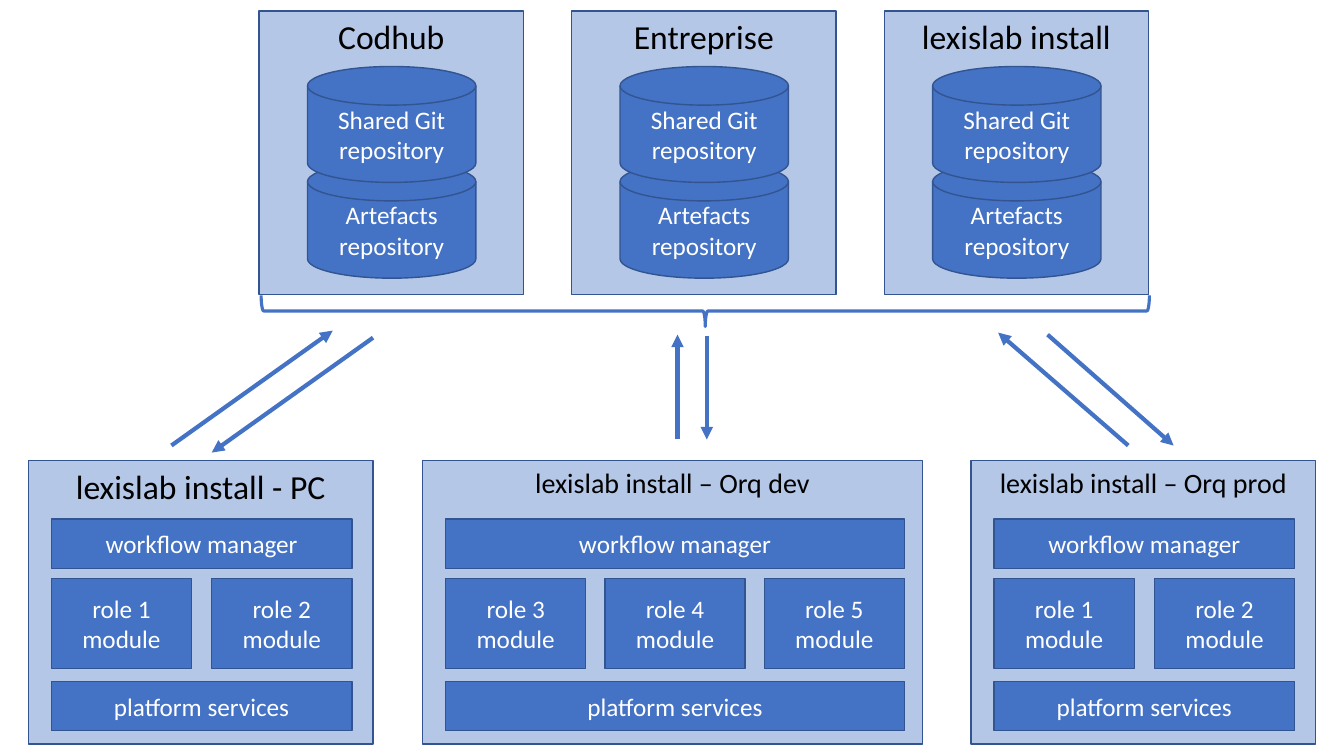
from dataclasses import dataclass

import pptx
import pptx.dml.color
import pptx.enum.shapes
import pptx.enum.text
import pptx.oxml
import pptx.oxml.ns
import pptx.presentation
import pptx.shapes.autoshape
import pptx.shapes.base
import pptx.shapes.shapetree
import pptx.slide
import pptx.util

Inches = pptx.util.Inches
Preset = pptx.enum.shapes.MSO_SHAPE
Anchor = pptx.enum.text.MSO_ANCHOR

COLORS = {"panel": "B4C7E7", "block": "4472C4", "outline": "325491",
          "title": "000000", "label": "FFFFFF"}
FONT = {"name": "Calibri"}

HUB_LEFT, HUB_STEP, HUB_TOP = 2.57, 3.1, 0.11
HUB_WIDTH, PANEL_HEIGHT = 2.62, 2.81
DISK_INSET, DISK_WIDTH, DISK_HEIGHT = 0.48, 1.67, 1.15
INSTALL_TOP, MODULE_TOP = 4.57, 5.74
MODULE_WIDTH, MODULE_HEIGHT = 1.39, 0.89
BAR_INSET, BAR_HEIGHT = 0.23, 0.49


@dataclass(frozen=True)
class Box:
    left: float
    top: float
    width: float
    height: float


@dataclass(frozen=True)
class Style:
    fill: str
    text: str
    size: int
    anchor: Anchor


@dataclass(frozen=True)
class Install:
    title: str
    title_size: int
    left: float
    width: float
    bar_width: float
    roles: tuple[int, ...]


@dataclass(frozen=True)
class Flow:
    start: tuple[float, float]
    end: tuple[float, float]


BLOCK = Style("block", "label", 18, Anchor.MIDDLE)
HUBS = ("Codhub", "Entreprise", "lexislab install")
# Drawn lower disk first, so the Git repository overlaps the artefacts.
DISKS = (("Artefacts\nrepository", 1.61), ("Shared Git\nrepository", 0.66))
BARS = (("workflow manager", 5.15), ("platform services", 6.76))
INSTALLS = (
    Install("lexislab install - PC", 24, 0.28, 3.42, 2.98, (1, 2)),
    Install("lexislab install – Orq dev", 20, 4.19, 4.96, 4.55, (3, 4, 5)),
    Install("lexislab install – Orq prod", 20, 9.63, 3.42, 2.98, (1, 2)),
)
FLOWS = (
    Flow((1.7, 4.42), (3.3, 3.28)),
    Flow((3.7, 3.35), (2.1, 4.49)),
    Flow((11.19, 4.42), (9.9, 3.3)),
    Flow((10.39, 3.32), (11.64, 4.42)),
    Flow((6.72, 4.36), (6.72, 3.32)),
    Flow((7.01, 3.33), (7.01, 4.36)),
)


def rgb(name: str) -> pptx.dml.color.RGBColor:
    return pptx.dml.color.RGBColor.from_string(COLORS[name])


def set_all(target: object, values: dict[str, object]) -> None:
    for attribute, value in values.items():
        setattr(target, attribute, value)


def add_preset(shapes: pptx.shapes.shapetree.SlideShapes, preset: Preset, box: Box,
               line_color: str, line_width: float) -> pptx.shapes.autoshape.Shape:
    added = shapes.add_shape(preset, Inches(box.left), Inches(box.top),
                             Inches(box.width), Inches(box.height))
    added.shadow.inherit = False
    added.line.color.rgb = rgb(line_color)
    added.line.width = pptx.util.Pt(line_width)
    return added


def add_block(shapes: pptx.shapes.shapetree.SlideShapes, text: str, box: Box,
              style: Style = BLOCK, preset: Preset = Preset.RECTANGLE) -> None:
    block = add_preset(shapes, preset, box, "outline", 1)
    block.fill.solid()
    block.fill.fore_color.rgb = rgb(style.fill)
    frame = block.text_frame
    frame.text = text
    set_all(frame, {"word_wrap": True, "vertical_anchor": style.anchor})
    for paragraph in frame.paragraphs:
        paragraph.alignment = pptx.enum.text.PP_ALIGN.CENTER
        set_all(paragraph.font, FONT | {"size": pptx.util.Pt(style.size)})
        paragraph.font.color.rgb = rgb(style.text)


def add_panel(shapes: pptx.shapes.shapetree.SlideShapes, title: str, box: Box,
              title_size: int = 24) -> None:
    add_block(shapes, title, box, Style("panel", "title", title_size, Anchor.TOP))


def add_hub(slide: pptx.slide.Slide, title: str, left: float) -> None:
    """Group a shared hub panel with its two repositories."""
    hub = slide.shapes.add_group_shape().shapes
    add_panel(hub, title, Box(left, HUB_TOP, HUB_WIDTH, PANEL_HEIGHT))
    for repository, top in DISKS:
        add_block(hub, repository, Box(left + DISK_INSET, top, DISK_WIDTH, DISK_HEIGHT),
                  preset=Preset.FLOWCHART_MAGNETIC_DISK)


def add_install(slide: pptx.slide.Slide, install: Install) -> None:
    shapes = slide.shapes
    add_panel(shapes, install.title,
              Box(install.left, INSTALL_TOP, install.width, PANEL_HEIGHT),
              install.title_size)
    left = install.left + BAR_INSET
    for service, top in BARS:
        add_block(shapes, service, Box(left, top, install.bar_width, BAR_HEIGHT))
    step = (install.bar_width - MODULE_WIDTH) / (len(install.roles) - 1)
    for index, role in enumerate(install.roles):
        add_block(shapes, f"role {role} module",
                  Box(left + index * step, MODULE_TOP, MODULE_WIDTH, MODULE_HEIGHT))


def add_flow(slide: pptx.slide.Slide, flow: Flow) -> None:
    """Draw an arrow with its head at the end of the flow."""
    arrow = slide.shapes.add_connector(
        pptx.enum.shapes.MSO_CONNECTOR.STRAIGHT,
        *map(Inches, flow.start + flow.end))
    arrow.line.color.rgb = rgb("block")
    arrow.line.width = pptx.util.Pt(3)
    head = pptx.oxml.parse_xml(
        f'<a:tailEnd {pptx.oxml.ns.nsdecls("a")} type="triangle"/>')
    arrow.line._get_or_add_ln().append(head)
    arrow._element.spPr.append(
        pptx.oxml.parse_xml(f'<a:effectLst {pptx.oxml.ns.nsdecls("a")}/>'))


def add_hub_brace(slide: pptx.slide.Slide) -> None:
    brace = add_preset(slide.shapes, Preset.LEFT_BRACE,
                       Box(6.84, -1.32, 0.31, 8.81), "block", 2.25)
    brace.fill.background()
    brace.rotation = 270


def main() -> None:
    deck = pptx.Presentation()
    set_all(deck, {"slide_width": Inches(13.33), "slide_height": Inches(7.5)})
    slide = deck.slides.add_slide(deck.slide_layouts[6])
    for index, title in enumerate(HUBS):
        add_hub(slide, title, HUB_LEFT + index * HUB_STEP)
    for install in INSTALLS:
        add_install(slide, install)
    for flow in FLOWS:
        add_flow(slide, flow)
    add_hub_brace(slide)
    deck.save("out.pptx")


if __name__ == "__main__":
    main()
